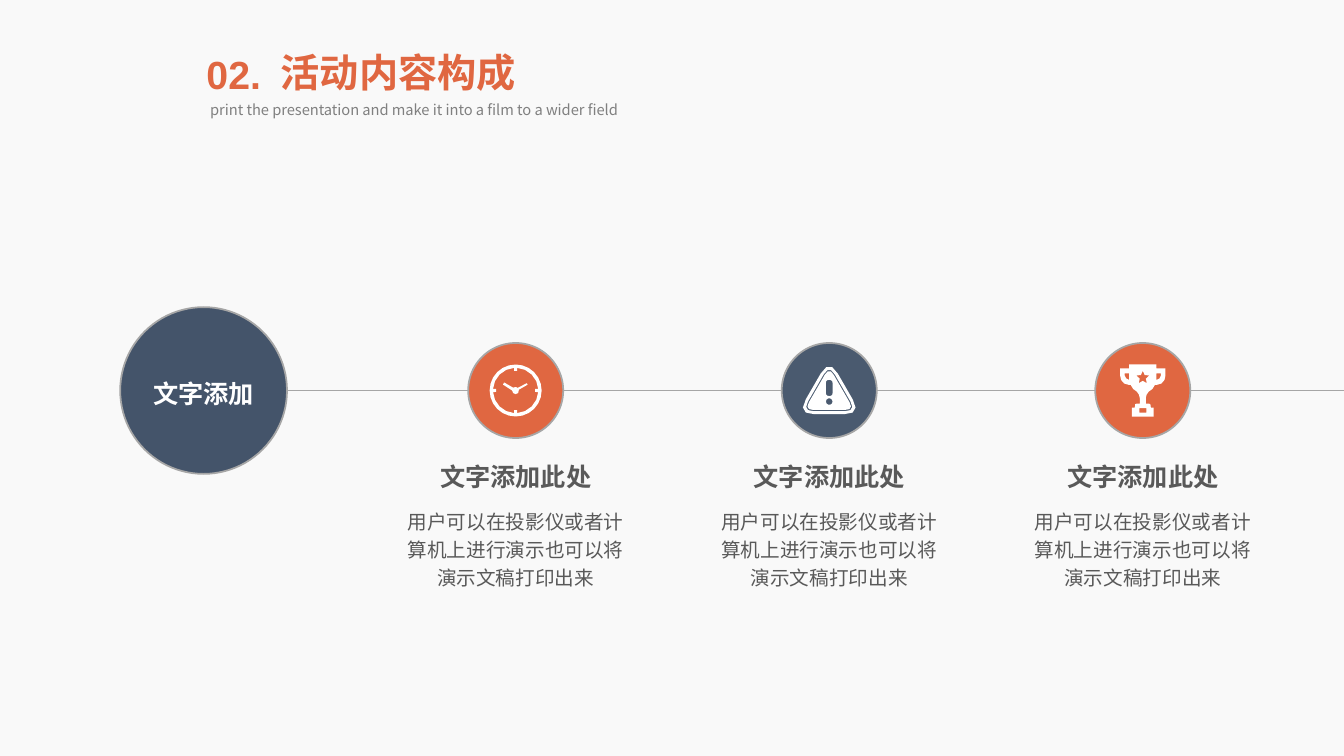
import math
from dataclasses import dataclass

import pptx
import pptx.dml.color
import pptx.enum.shapes
import pptx.enum.text
import pptx.oxml
import pptx.oxml.ns
import pptx.util

RGBColor = pptx.dml.color.RGBColor
BACKGROUND = RGBColor(0xF9, 0xF9, 0xF9)
ORANGE = RGBColor(0xE0, 0x67, 0x41)
NAVY = RGBColor(0x44, 0x54, 0x6A)
SLATE = RGBColor(0x4A, 0x5A, 0x6F)
OUTLINE = RGBColor(0xA6, 0xA6, 0xA6)
DARK_GRAY = RGBColor(0x59, 0x59, 0x59)
MID_GRAY = RGBColor(0x80, 0x80, 0x80)
WHITE = RGBColor(0xFF, 0xFF, 0xFF)

SLIDE_WIDTH = pptx.util.Inches(13.33)
SLIDE_HEIGHT = pptx.util.Inches(7.5)
CENTER = pptx.enum.text.PP_ALIGN.CENTER
LEFT = pptx.enum.text.PP_ALIGN.LEFT

# Shares of the slide's width or height, in percent
TIMELINE_Y = 51.66
HUB_X, HUB_SIZE = 15.15, 12.41
FIRST_STEP_X, STEP_PITCH = 38.37, 23.33
STEP_SIZE, CAPTION_WIDTH = 7.07, 18.38
ICON_UNIT = 0.075

Point = tuple[float, float]
Contour = list[Point]


@dataclass(frozen=True)
class Step:
    color: RGBColor
    icon: list[Contour]
    heading: str = "文字添加此处"
    body: str = "用户可以在投影仪或者计算机上进行演示也可以将演示文稿打印出来"


def across(percent: float) -> int:
    return round(SLIDE_WIDTH * percent / 100)


def down(percent: float) -> int:
    return round(SLIDE_HEIGHT * percent / 100)


def polar(radius: float, degrees: float, center_y: float = 0) -> Point:
    angle = math.radians(degrees)
    return radius * math.cos(angle), center_y + radius * math.sin(angle)


def circle(radius: float, points: int, center_y: float = 0) -> Contour:
    return [polar(radius, 360 * index / points, center_y) for index in range(points)]


def rounded(corners: Contour, cut: float) -> Contour:
    """Replace each corner by a quadratic curve that starts `cut` before it."""
    contour = []
    for index, (x, y) in enumerate(corners):
        ends = []
        for other_x, other_y in (corners[index - 1], corners[(index + 1) % len(corners)]):
            share = min(cut / math.hypot(other_x - x, other_y - y), 0.49)
            ends.append((x + (other_x - x) * share, y + (other_y - y) * share))
        (start_x, start_y), (end_x, end_y) = ends
        for t in (0, 0.33, 0.67, 1):
            a, b, c = (1 - t) ** 2, 2 * t * (1 - t), t * t
            contour.append((a * start_x + b * x + c * end_x, a * start_y + b * y + c * end_y))
    return contour


def mirrored(points: Contour) -> Contour:
    return [(-x, y) for x, y in reversed(points)]


def clock_icon() -> list[Contour]:
    dial = []
    for quarter in range(0, 360, 90):
        dial += [polar(22.5, quarter + degrees) for degrees in (4, 24.5, 45, 65.5, 86)]
        dial += [polar(19.5, quarter + degrees) for degrees in (85.6, 94.4)]
    hands = [(-11.5, -8), (-2.5, -2.8), (0, -3.5), (2, -2.6), (11, -7.2), (12, -5.8),
             (3.3, -0.8), (2.5, 2.5), (0, 3.6), (-2.5, 2.5), (-3.5, 0), (-12.5, -5.8)]
    return [circle(25.8, 24), dial, hands]


def warning_icon() -> list[Contour]:
    def triangle(top: float, bottom: float, cut: float) -> Contour:
        half = (bottom - top) / math.sqrt(3)
        return rounded([(0, top), (half, bottom), (-half, bottom)], cut)

    bar = [(-3.3, -10.5), (3.3, -10.5), (3.3, 5.5), (-3.3, 5.5)]
    return [triangle(-31.5, 23.5, 17), triangle(-25.5, 20.5, 11),
            triangle(-23.3, 19.3, 9), rounded(bar, 3), circle(3.3, 10, 11)]


def trophy_icon() -> list[Contour]:
    half_cup = [(13.5, -26), (13.5, -22), (22.5, -22), (22.5, -15), (21.5, -10.5),
                (18.5, -7), (13.5, -5.5), (12, -5.5), (9.5, -1.5), (6, 1), (3.8, 4),
                (3, 7.5), (3, 13), (6, 13), (7.5, 13.5), (8, 17), (10.8, 17), (10.8, 25.8)]
    handle = [(13.5, -17), (18, -17), (18, -15), (16.5, -12), (13.5, -10.5)]
    base = [(-3.5, 17.5), (3.5, 17.5), (3.5, 22), (-3.5, 22)]
    star = [polar(3.2 if index % 2 else 6.8, 36 * index - 90, -12.8) for index in range(10)]
    return [half_cup + mirrored(half_cup), handle, mirrored(handle), base, star]


def set_text(shape, text: str, *, size: float, color: RGBColor, font: str = "Arial",
             bold: bool = False, align=CENTER, spacing: float = 1.0, wrap: bool = True) -> None:
    frame = shape.text_frame
    frame.word_wrap = wrap
    frame.auto_size = pptx.enum.text.MSO_AUTO_SIZE.SHAPE_TO_FIT_TEXT
    frame.vertical_anchor = pptx.enum.text.MSO_ANCHOR.TOP
    paragraph = frame.paragraphs[0]
    paragraph.alignment = align
    paragraph.line_spacing = spacing
    run = paragraph.add_run()
    run.text = text
    run.font.name = font
    run.font.size = pptx.util.Pt(size)
    run.font.bold = bold
    run.font.color.rgb = color


def add_text(slide, text: str, left: float, top: float, width: float, height: float,
             **text_format) -> None:
    box = slide.shapes.add_textbox(across(left), down(top), across(width), down(height))
    set_text(box, text, **text_format)


def add_timeline(slide) -> None:
    line = slide.shapes.add_connector(
        pptx.enum.shapes.MSO_CONNECTOR.STRAIGHT,
        across(HUB_X + HUB_SIZE / 2), down(TIMELINE_Y), SLIDE_WIDTH, down(TIMELINE_Y))
    line.line.color.rgb = OUTLINE
    line.line.width = pptx.util.Pt(1.25)
    properties = line._element.find(pptx.oxml.ns.qn("p:spPr"))
    properties.append(pptx.oxml.parse_xml(
        f"<a:effectLst {pptx.oxml.ns.nsdecls('a')}/>"))


def add_disc(slide, center: float, size: float, color: RGBColor) -> None:
    diameter = across(size)
    disc = slide.shapes.add_shape(
        pptx.enum.shapes.MSO_SHAPE.OVAL, across(center - size / 2),
        down(TIMELINE_Y) - diameter // 2, diameter, diameter)
    disc.shadow.inherit = False
    disc.fill.solid()
    disc.fill.fore_color.rgb = color
    disc.line.color.rgb = OUTLINE
    disc.line.width = pptx.util.Pt(1.25)


def add_icon(slide, contours: list[Contour], center: float) -> None:
    """Draw contours as one outline; contours inside others become holes."""
    placed = [[(across(center + x * ICON_UNIT), down(TIMELINE_Y) + across(y * ICON_UNIT))
               for x, y in contour] for contour in contours]
    builder = slide.shapes.build_freeform(*placed[0][0])
    for index, contour in enumerate(placed):
        if index:
            builder.move_to(*contour[0])
        builder.add_line_segments(contour[1:], close=True)
    icon = builder.convert_to_shape()
    icon.shadow.inherit = False
    icon.fill.solid()
    icon.fill.fore_color.rgb = WHITE
    icon.line.fill.background()


def add_step(slide, step: Step, center: float) -> None:
    add_disc(slide, center, STEP_SIZE, step.color)
    add_icon(slide, step.icon, center)
    left = center - CAPTION_WIDTH / 2
    add_text(slide, step.heading, left, 60.38, CAPTION_WIDTH, 5.33,
             size=18, color=DARK_GRAY, bold=True)
    add_text(slide, step.body, left, 66.13, CAPTION_WIDTH, 12.67,
             size=14, color=DARK_GRAY, spacing=1.2)


def add_header(slide) -> None:
    title = slide.shapes.title
    title.left, title.top = across(20.03), down(5.73)
    title.width, title.height = across(19.2), down(7.6)
    set_text(title, "活动内容构成", size=28, color=ORANGE, bold=True, wrap=False)
    add_text(slide, "02.", 14.63, 5.95, 5.63, 7.6,
             size=28, color=ORANGE, bold=True, align=LEFT, wrap=False)
    add_text(slide, "print the presentation and make it into a film to a wider field",
             14.9, 12.35, 36.15, 3.87, size=10.5, color=MID_GRAY,
             font="Noto Sans CJK SC", align=LEFT, spacing=1.14)


def main() -> None:
    presentation = pptx.Presentation()
    presentation.slide_width, presentation.slide_height = SLIDE_WIDTH, SLIDE_HEIGHT
    slide = presentation.slides.add_slide(presentation.slide_layouts[5])
    slide.background.fill.solid()
    slide.background.fill.fore_color.rgb = BACKGROUND
    add_header(slide)
    add_timeline(slide)
    add_disc(slide, HUB_X, HUB_SIZE, NAVY)
    add_text(slide, "文字添加", HUB_X - 6.98, 48.53, 13.95, 6.13,
             size=18, color=WHITE, bold=True, spacing=1.2)
    steps = [Step(ORANGE, clock_icon()), Step(SLATE, warning_icon()),
             Step(ORANGE, trophy_icon())]
    for index, step in enumerate(steps):
        add_step(slide, step, FIRST_STEP_X + index * STEP_PITCH)
    presentation.save("out.pptx")


if __name__ == "__main__":
    main()
